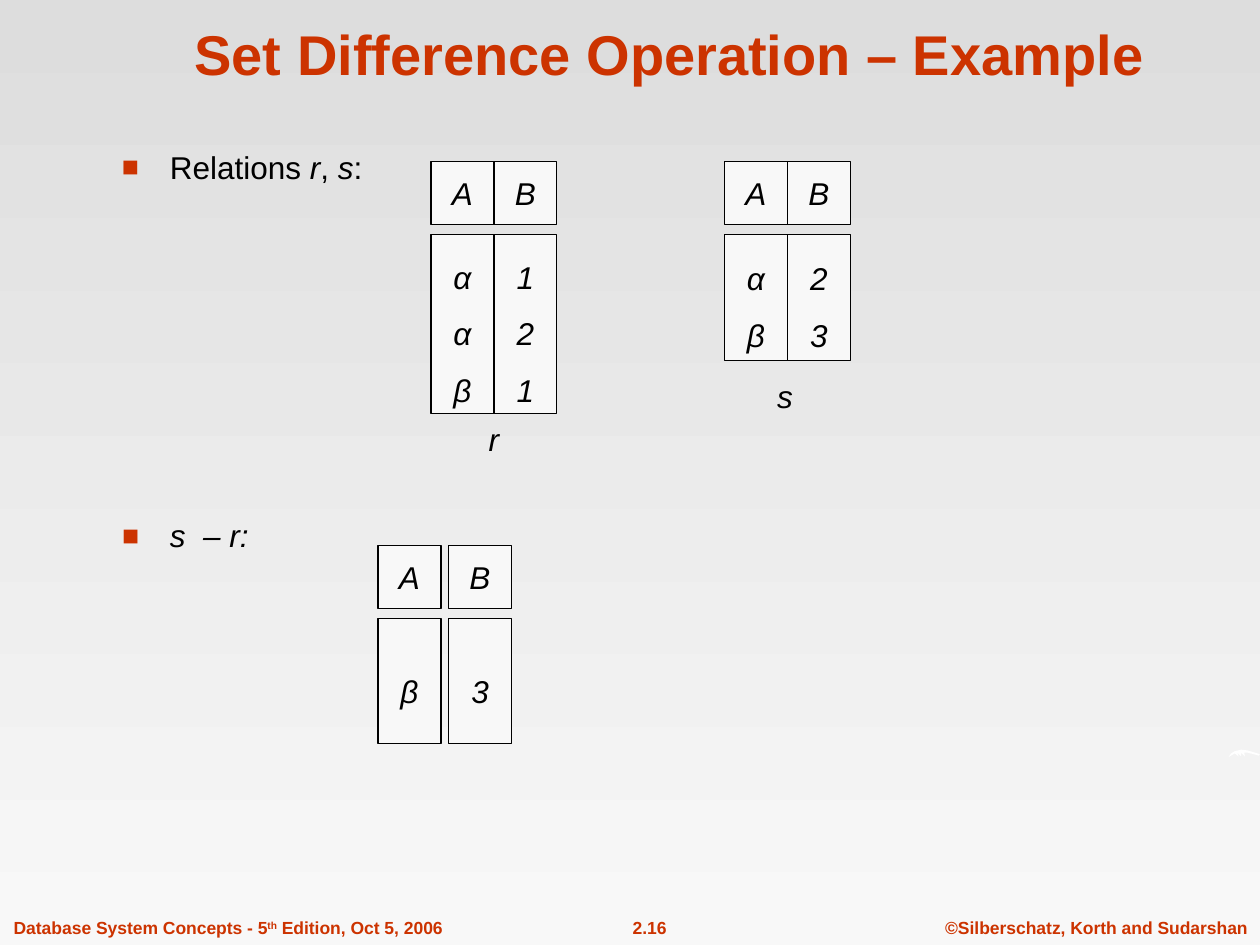
from dataclasses import dataclass
from lxml.etree import SubElement as Sub
from pptx import Presentation
from pptx.dml.color import RGBColor as Rgb
from pptx.enum.shapes import MSO_SHAPE as Kind
from pptx.enum.text import MSO_ANCHOR as Anchor, MSO_AUTO_SIZE as Auto, PP_ALIGN as Align
from pptx.oxml.ns import qn
from pptx.util import Inches, Pt


@dataclass(frozen=True)
class Theme:
    font: str = "Arial"
    red: Rgb = Rgb(0xCC, 0x33, 0x00)
    ink: Rgb = Rgb(0, 0, 0)
    top: Rgb = Rgb(0xDD, 0xDD, 0xDD)
    pale: Rgb = Rgb(0xF8, 0xF8, 0xF8)
    white: Rgb = Rgb(255, 255, 255)
    head: int = 32
    body: int = 18
    foot: int = 10


THEME = Theme()
COLS, ROWS = 20, 15
UNIT = Inches(0.5)
MID = {"alignment": Align.CENTER}
SLANT = {"italic": True}
LOOSE = {"word_wrap": False, "vertical_anchor": Anchor.MIDDLE}
GROW = {"word_wrap": False, "auto_size": Auto.SHAPE_TO_FIT_TEXT}
WRAP = {"word_wrap": True}


def dress(item, form):
    for key, val in form.items():
        setattr(item, key, val)


def grid(box):
    return [round(part * UNIT) for part in box]


def write(shape, lines, size, hue, para=MID, frame=WRAP):
    area = shape.text_frame
    dress(area, {**WRAP, **frame})
    for spot, line in enumerate(lines):
        part = area.add_paragraph() if spot else area.paragraphs[0]
        dress(part, para)
        for word, form in line:
            run = part.add_run()
            run.text = word
            dress(run.font, {"name": THEME.font, "size": Pt(size), **form})
            run.font.color.rgb = hue
    return area


def label(slide, box, lines, size, hue, para=MID, frame=WRAP):
    return write(slide.shapes.add_textbox(*grid(box)), lines, size, hue, para, frame)


def backdrop(slide):
    fill = slide.background.fill
    fill.gradient()
    fill.gradient_angle = 270
    for stop, hue, place in zip(fill.gradient_stops, (THEME.top, THEME.pale), (0, 1)):
        stop.color.rgb = hue
        stop.position = place


def swoosh(slide, box):
    left, top, wide, high = box
    arc = [(0, 1), (.08, .5), (.2, .2), (.4, 0), (.6, .1), (.84, .4), (1, .6),
           (.96, .8), (.8, .6), (.6, .4), (.5, .4), (.52, .9), (.4, .4),
           (.4, .9), (.28, .4), (.32, .9), (.2, .5), (.08, .8)]
    dots = [grid((left + wide * u, top + high * v)) for u, v in arc]
    curve = slide.shapes.build_freeform(*dots[0])
    curve.add_line_segments(dots[1:], close=True)
    shape = curve.convert_to_shape()
    shape.shadow.inherit = False
    shape.fill.solid()
    shape.fill.fore_color.rgb = THEME.white
    shape.line.fill.background()


def title(slide, box, words):
    label(slide, box, [[(words, {"bold": True})]], THEME.head, THEME.red,
          frame={"vertical_anchor": Anchor.BOTTOM})


def footer(slide, box):
    left, top, wide, high = box
    bold = {"bold": True}
    parts = [
        (0, .44, Align.LEFT, WRAP,
         ["Database System Concepts - 5", "th", " Edition, Oct 5, 2006"]),
        (.465, .1, Align.CENTER, GROW, ["2.16"]),
        (.74, .26, Align.CENTER, GROW, ["©Silberschatz, Korth and Sudarshan"]),
    ]
    for start, share, side, frame, words in parts:
        area = label(slide, (left + wide * start, top, wide * share, high),
                     [[(word, bold) for word in words]], THEME.foot, THEME.red,
                     {"alignment": side, "space_before": Pt(6.2)}, frame)
        for run in area.paragraphs[0].runs:
            if run.text == "th":
                run.font._element.set("baseline", "30000")


def bullet(slide, box, runs, pitch):
    area = label(slide, box, [runs], THEME.body, THEME.ink,
                 {"line_spacing": pitch, "space_before": Pt(7.9)})
    props = area.paragraphs[0]._p.get_or_add_pPr()
    inset = Inches(0.38)
    props.set("marL", str(inset))
    props.set("indent", str(-inset))
    Sub(Sub(props, qn("a:buClr")), qn("a:srgbClr")).set("val", str(THEME.red))
    Sub(props, qn("a:buSzPct")).set("val", "90000")
    Sub(props, qn("a:buFont")).set("typeface", THEME.font)
    Sub(props, qn("a:buChar")).set("char", "■")


def cell(slide, box, words, para):
    shape = slide.shapes.add_shape(Kind.RECTANGLE, *grid(box))
    shape.shadow.inherit = False
    shape.fill.solid()
    shape.fill.fore_color.rgb = THEME.pale
    shape.line.color.rgb = THEME.ink
    shape.line.width = Pt(0.75)
    write(shape, [[(word, SLANT)] for word in words], THEME.body, THEME.ink, para, LOOSE)


def relation(slide, box, data, gap=0, name=None, lean=0, drop=0):
    left, top, wide, high = box
    size = (wide - gap * (len(data) - 1)) / len(data)
    skip = 1.16
    for spot, (head, words) in enumerate(data.items()):
        at = left + spot * (size + gap)
        cell(slide, (at, top, size, 1), [head], MID)
        cell(slide, (at, top + skip, size, high - skip), words,
             {**MID, "line_spacing": 1.5})
    if name:
        label(slide, (left + wide / 2 - .3 + lean, top + high + drop, .6, .8),
              [[(name, SLANT)]], THEME.body, THEME.ink,
              {**MID, "space_before": Pt(11.2)}, {**LOOSE, **GROW})


def main():
    deck = Presentation()
    dress(deck, {"slide_width": COLS * UNIT, "slide_height": ROWS * UNIT})
    slide = deck.slides.add_slide(deck.slide_layouts[6])
    backdrop(slide)
    footer(slide, (.02, 14.46, COLS - .02, .54))
    swoosh(slide, (19.5, 11.9, .5, .12))
    title(slide, (1.8, .14, 17.66, 1.34), "Set Difference Operation – Example")
    bullet(slide, (1.74, 2.36, 15, .74),
           [("Relations ", {}), ("r", SLANT), (", ", {}), ("s", SLANT), (":", {})], .8)
    bullet(slide, (1.74, 8.16, 2.76, .9), [("s  – r:", SLANT)], .9)
    relation(slide, (6.84, 2.56, 2, 4), {"A": "ααβ", "B": "121"}, name="r")
    relation(slide, (11.5, 2.56, 2, 3.16), {"A": "αβ", "B": "23"},
             name="s", lean=-.06, drop=.16)
    relation(slide, (6, 8.66, 2.12, 3.14), {"A": "β", "B": "3"}, gap=.12)
    deck.save("out.pptx")


if __name__ == "__main__":
    main()
